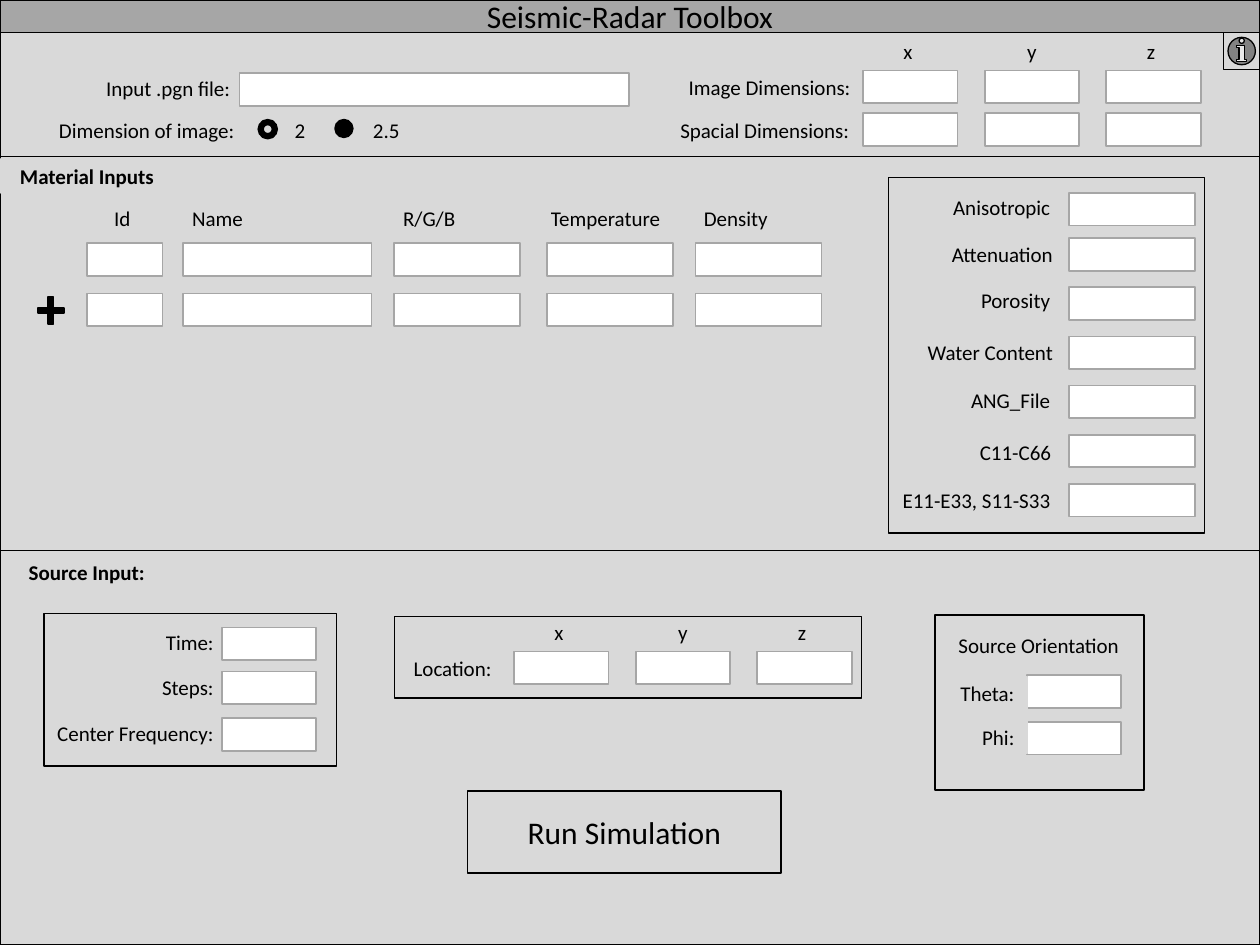
from dataclasses import dataclass

from pptx import Presentation
from pptx.dml.color import RGBColor
from pptx.enum.shapes import MSO_SHAPE as Shape
from pptx.enum.text import MSO_ANCHOR as Anchor, PP_ALIGN as Align
from pptx.util import Inches, Pt


@dataclass(frozen=True)
class Theme:
    font: str = "Calibri"
    body: int = 12
    large: int = 18
    ink: str = "000000"
    panel: str = "D9D9D9"
    accent: str = "A6A6A6"
    field: str = "FFFFFF"
    thin: float = 0.75
    normal: float = 1


THEME = Theme()

# The page is a grid of 100 columns by 75 rows; every length counts cells
COLUMNS, ROWS = 100, 75
CELL = Inches(0.1)
FIELD_HEIGHT = 2.6
AXIS_WIDTH, AXIS_STEP = 7.5, 9.65


def set_all(target, values):
    for name, value in values.items():
        setattr(target, name, value)


def add_box(page, area, fill=None, line=THEME.ink, weight=THEME.normal, kind=Shape.RECTANGLE):
    box = page.shapes.add_shape(kind, *(round(cells * CELL) for cells in area))
    box.shadow.inherit = False
    if fill:
        box.fill.solid()
        box.fill.fore_color.rgb = RGBColor.from_string(fill)
    else:
        box.fill.background()
    box.line.color.rgb = RGBColor.from_string(line)
    box.line.width = Pt(weight)
    return box


def write(box, text, align=Align.CENTER, size=THEME.body, bold=False):
    set_all(box.text_frame, {"word_wrap": True, "vertical_anchor": Anchor.MIDDLE})
    para = box.text_frame.paragraphs[0]
    para.alignment = align
    span = para.add_run()
    span.text = text
    set_all(span.font, {"name": THEME.font, "size": Pt(size), "bold": bold})
    span.font.color.rgb = RGBColor.from_string(THEME.ink)


def add_label(page, text, left, top, width, height=FIELD_HEIGHT, align=Align.RIGHT, bold=False):
    box = add_box(page, (left, top, width, height), THEME.panel, THEME.panel)
    write(box, text, align, bold=bold)


def add_field(page, left, top, width=AXIS_WIDTH):
    add_box(page, (left, top, width, FIELD_HEIGHT), THEME.field, THEME.accent)


def add_frame(page, *area):
    add_box(page, area, weight=THEME.thin)


def add_axis_names(page, left, top):
    for index, name in enumerate(("x ", "y", "z ")):
        add_label(page, name, left + index * AXIS_STEP, top, AXIS_WIDTH, align=Align.CENTER)


def add_axis_fields(page, left, top):
    for index in range(3):
        add_field(page, left + index * AXIS_STEP, top)


def add_panels(page):
    title = add_box(page, (0, 0, COLUMNS, 2.6), THEME.accent)
    write(title, "Seismic-Radar Toolbox", size=THEME.large)
    edges = (2.6, 12.4, 43.7, ROWS)
    for top, bottom in zip(edges, edges[1:]):
        add_box(page, (0, top, COLUMNS, bottom - top), THEME.panel, weight=THEME.thin)
    add_box(page, (97.1, 2.6, 2.9, 2.9), THEME.panel, weight=THEME.thin,
            kind=Shape.ACTION_BUTTON_INFORMATION)


def add_image_section(page):
    # Size of the image along each axis
    add_label(page, "Image Dimensions:", 53.5, 5.6, 15)
    add_label(page, "Spacial Dimensions:", 52.1, 9, 16.3)
    add_axis_names(page, 68.5, 2.8)
    for top in (5.6, 9):
        add_axis_fields(page, 68.5, top)

    # File name and choice of dimension
    add_label(page, "Input .pgn file:", 6.6, 5.7, 13.5, align=Align.CENTER)
    add_field(page, 19, 5.8, 30.9)
    for text, left, width in (("Dimension of image:", 2.5, 17.1), ("2", 22.4, 2.6), ("2.5", 28.3, 4.4)):
        add_label(page, text, left, 9, width)
    for kind, left, size in ((Shape.DONUT, 20.5, 1.5), (Shape.OVAL, 26.6, 1.4)):
        add_box(page, (left, 9.5, size, size), THEME.ink, kind=kind)


def add_material_section(page):
    add_label(page, "Material Inputs ", 0.1, 12.6, 14, 2.7, Align.CENTER, bold=True)

    # Columns: heading, its left and width, then the field's left and width
    columns = (
        ("Id ", 7.4, 5, 6.9, 6),
        ("Name ", 13.7, 7.5, 14.5, 15),
        ("R/G/B ", 30.5, 7.5, 31.25, 10),
        ("Temperature ", 42.4, 11.7, 43.4, 10),
        ("Density ", 54.8, 7.2, 55.2, 10),
    )
    for heading, left, width, field_left, field_width in columns:
        add_label(page, heading, left, 16.1, width, 2.5, Align.CENTER)
        for top in (19.3, 23.3):
            add_field(page, field_left, top, field_width)
    plus = add_box(page, (3, 23.6, 2.1, 2.1), THEME.ink, kind=Shape.CROSS)
    plus.adjustments[0] = 0.4

    # Further properties: label, left, top and width
    properties = (
        ("Anisotropic ", 74.5, 15.2, 10),
        ("Attenuation ", 74.5, 18.9, 10.1),
        ("Porosity ", 76.7, 22.6, 7.8),
        ("Water Content ", 72.6, 26.7, 12),
        ("ANG_File ", 75.9, 30.5, 9),
        ("C11-C66 ", 76.6, 34.6, 8),
        ("E11-E33, S11-S33 ", 70.5, 38.4, 14),
    )
    for index, (text, left, top, width) in enumerate(properties):
        add_label(page, text, left, top, width, 2.5, Align.CENTER)
        add_field(page, 84.85, 15 + 3.9 * index if index else 15.3, 10)
    add_frame(page, 70.5, 14.1, 25.1, 28.2)


def add_source_section(page):
    add_label(page, "Source Input:", 1.3, 44.1, 16, align=Align.LEFT, bold=True)

    # Timing
    for text, top in (("Time:", 49.7), ("Steps:", 53.2), ("Center Frequency:", 56.9)):
        add_label(page, text, 1.95, top, 16)
        add_field(page, 17.6, top + 0.1)
    add_frame(page, 3.5, 48.7, 23.2, 12.1)

    # Location
    add_label(page, "Location:", 31, 51.7, 9)
    add_axis_names(page, 40.8, 48.9)
    add_axis_fields(page, 40.8, 51.7)
    add_frame(page, 31.3, 48.9, 37.1, 6.5)

    # Orientation
    add_label(page, "Source Orientation", 73.8, 49.9, 16)
    for text, top, field_top in (("Theta:", 53.7, 53.6), ("Phi:", 57.2, 57.3)):
        add_field(page, 81.5, field_top)
        add_label(page, text, 73.5, top, 8)
    add_frame(page, 74.2, 48.8, 16.6, 13.9)

    button = add_box(page, (37.1, 62.8, 24.9, 6.5), THEME.panel)
    write(button, "Run Simulation", size=THEME.large)


def main():
    deck = Presentation()
    set_all(deck, {"slide_width": COLUMNS * CELL, "slide_height": ROWS * CELL})
    page = deck.slides.add_slide(deck.slide_layouts[6])
    add_panels(page)
    add_image_section(page)
    add_material_section(page)
    add_source_section(page)
    deck.save("out.pptx")


if __name__ == "__main__":
    main()
